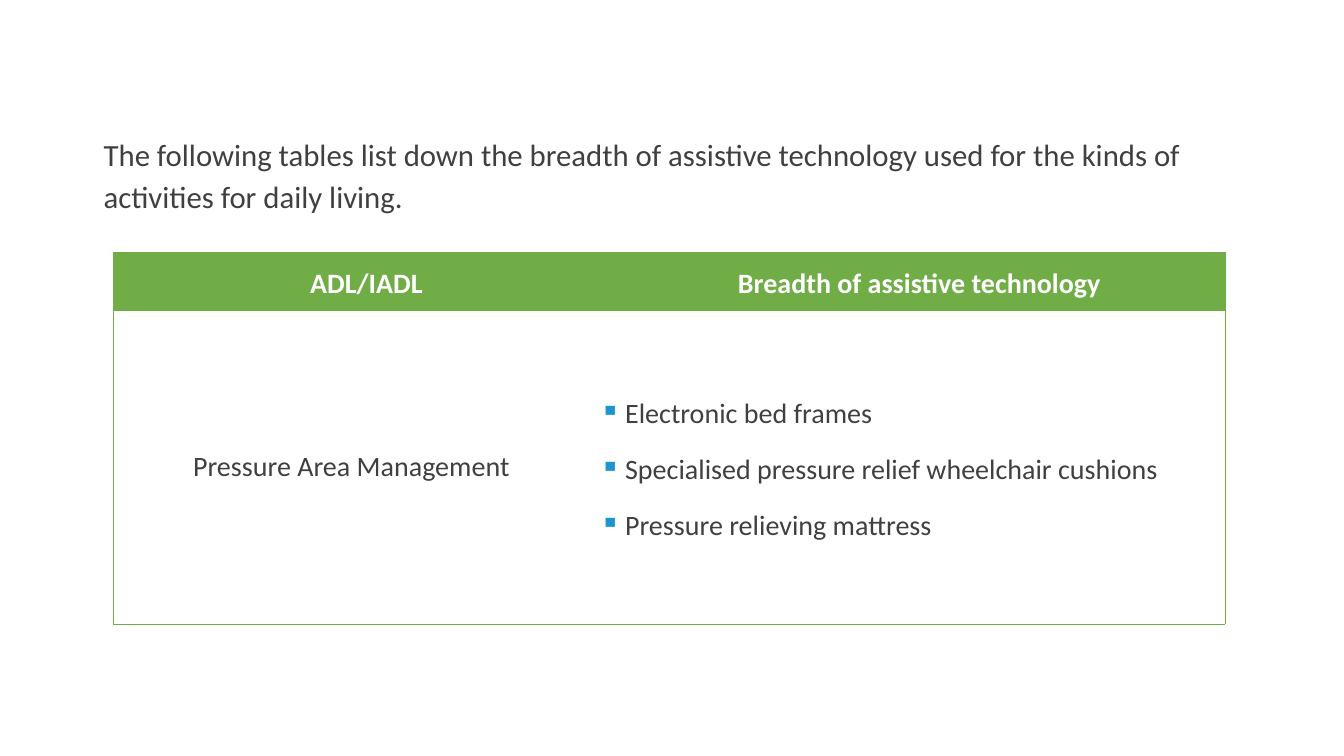
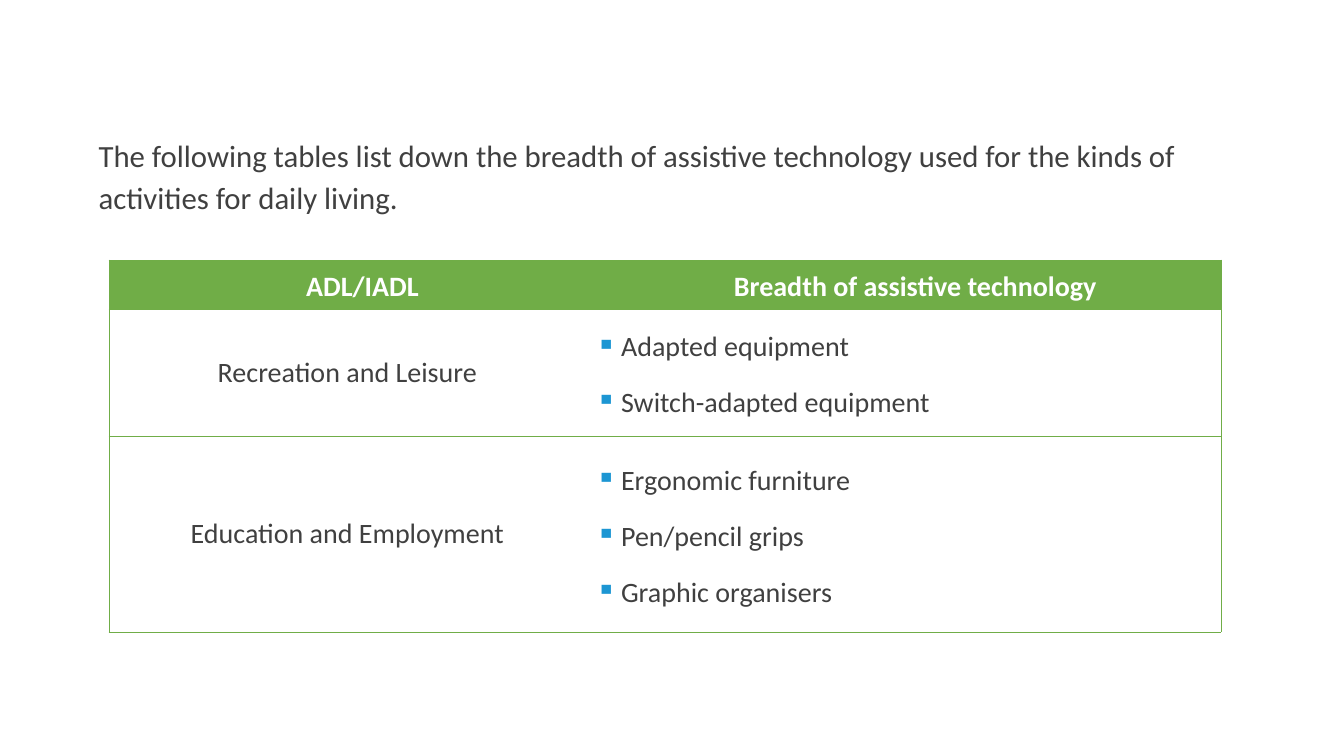
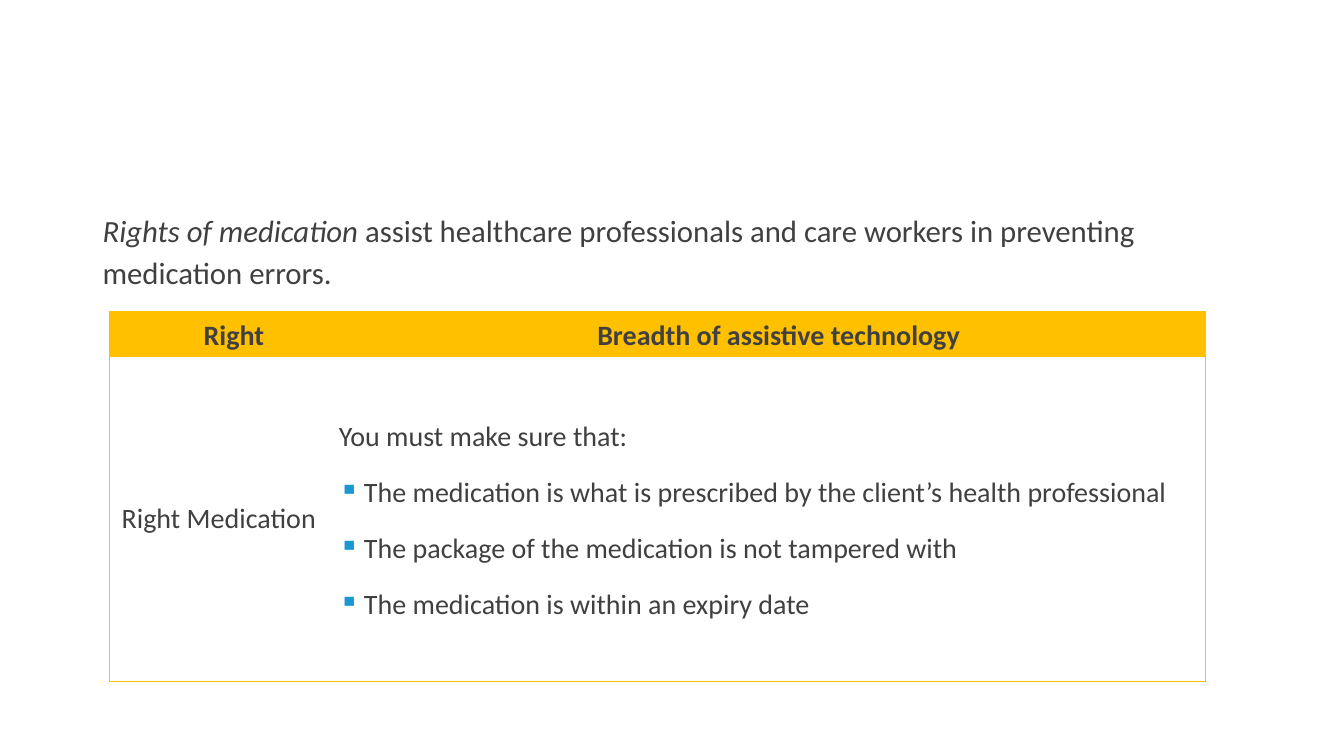
from lxml import etree
from pptx import Presentation
from pptx import util as u
from pptx.dml.color import RGBColor
from pptx.enum import text
from pptx.oxml.ns import qn

GREEN, AMBER, WHITE, DARK, BULLET_BLUE = "70AD47", "FFC000", "FFFFFF", "404040", "1C96D3"
PLAIN_TABLE = "{2D5ABB26-0587-4C30-8999-92F81FD0307C}"
BULLET = "▪ "


def rgb(value):
    return RGBColor.from_string(value)


class Deck:
    font = "Calibri"
    intro_size = u.Pt(22)
    table_size = u.Pt(20)
    line_spacing = 1.14
    gap = u.Pt(6)

    def __init__(self):
        self.presentation = Presentation()
        self.presentation.slide_width = u.Inches(13.33)
        self.presentation.slide_height = u.Inches(7.5)
        self.slide = None

    def new_slide(self):
        self.slide = self.presentation.slides.add_slide(self.presentation.slide_layouts[6])

    def space(self, paragraph, first=True):
        paragraph.line_spacing = self.line_spacing
        paragraph.space_before = 0 if first else self.gap
        paragraph.space_after = self.gap

    def style(self, paragraph, size, color=DARK, bold=False):
        for run in paragraph.runs:
            run.font.name = self.font
            run.font.size = size
            run.font.bold = bold
            run.font.color.rgb = rgb(color)

    def indent(self, paragraph, left):
        properties = paragraph._p.get_or_add_pPr()
        properties.set("marL", str(u.Inches(left)))
        properties.set("indent", str(u.Inches(-0.25)))
        return properties

    def bullet(self, paragraph):
        properties = self.indent(paragraph, 0.25)
        color = etree.SubElement(properties, qn("a:buClr"))
        etree.SubElement(color, qn("a:srgbClr"), val=BULLET_BLUE)
        etree.SubElement(properties, qn("a:buChar"), char=BULLET.strip())

    def intro(self, left, top, body, emphasis=""):
        """Opening sentence, with an optional italic lead-in."""
        shape = self.slide.shapes.add_textbox(
            u.Inches(left), u.Inches(top), u.Inches(11.03), u.Inches(4.76))
        shape.text_frame.word_wrap = True
        paragraph = shape.text_frame.paragraphs[0]
        if emphasis:
            run = paragraph.add_run()
            run.text = emphasis
            run.font.italic = True
        paragraph.add_run().text = body
        self.space(paragraph)
        self.style(paragraph, self.intro_size)

    def borders(self, cell, sides, color):
        properties = cell._tc.get_or_add_tcPr()
        for side in sides:
            line = etree.SubElement(properties, qn(f"a:ln{side}"), w=str(u.Pt(0.5)))
            fill = etree.SubElement(line, qn("a:solidFill"))
            etree.SubElement(fill, qn("a:srgbClr"), val=color)

    def header_cell(self, cell, heading, fill_color, text_color):
        cell.margin_left = cell.margin_right = u.Inches(0.07)
        cell.margin_top = cell.margin_bottom = 0
        cell.fill.solid()
        cell.fill.fore_color.rgb = rgb(fill_color)
        cell.text_frame.text = heading
        paragraph = cell.text_frame.paragraphs[0]
        self.indent(paragraph, 0.55)
        paragraph.alignment = text.PP_ALIGN.CENTER
        self.space(paragraph)
        self.style(paragraph, self.table_size, text_color, bold=True)

    def label_cell(self, cell, label):
        cell.fill.background()
        cell.text_frame.text = label
        paragraph = cell.text_frame.paragraphs[0]
        paragraph.alignment = text.PP_ALIGN.CENTER
        self.style(paragraph, self.table_size)

    def list_cell(self, cell, items):
        cell.fill.background()
        cell.text_frame.text = "\n".join(item.removeprefix(BULLET) for item in items)
        for index, (paragraph, item) in enumerate(zip(cell.text_frame.paragraphs, items)):
            if item.startswith(BULLET):
                self.bullet(paragraph)
            self.space(paragraph, first=index == 0)
            self.style(paragraph, self.table_size)

    def table(self, left, top, widths, heights, headings, rows, color, heading_color):
        """Coloured heading row, then one label and one list per row."""
        table = self.slide.shapes.add_table(
            len(heights), len(widths), u.Inches(left), u.Inches(top),
            u.Inches(sum(widths)), u.Inches(sum(heights))).table
        table._tbl.tblPr.find(qn("a:tableStyleId")).text = PLAIN_TABLE
        table.horz_banding = False
        for column, width in zip(table.columns, widths):
            column.width = u.Inches(width)
        for row, height in zip(table.rows, heights):
            row.height = u.Inches(height)
            for cell, outer_side in zip(row.cells, "LR"):
                cell.vertical_anchor = text.MSO_ANCHOR.MIDDLE
                self.borders(cell, outer_side + "TB", color)
        for column, heading in enumerate(headings):
            self.header_cell(table.cell(0, column), heading, color, heading_color)
        for index, (label, items) in enumerate(rows, start=1):
            self.label_cell(table.cell(index, 0), label)
            self.list_cell(table.cell(index, 1), items)


def main():
    deck = Deck()
    breadth = "Breadth of assistive technology "
    living_intro = ("The following tables list down the breadth of assistive technology "
                    "used for the kinds of activities for daily living.")
    living_style = dict(widths=[4.73, 6.3], headings=["ADL/IADL", breadth],
                        color=GREEN, heading_color=WHITE)

    # Pressure area management
    deck.new_slide()
    deck.intro(0.93, 1.25, living_intro)
    deck.table(1.12, 2.5, heights=[0.58, 3.11], rows=[
        ("Pressure Area Management", [
            "▪ Electronic bed frames",
            "▪ Specialised pressure relief wheelchair cushions",
            "▪ Pressure relieving mattress"]),
    ], **living_style)

    # Recreation and education
    deck.new_slide()
    deck.intro(0.88, 1.26, living_intro)
    deck.table(1.08, 2.58, heights=[0.49, 1.26, 1.94], rows=[
        ("Recreation and Leisure", [
            "▪ Adapted equipment",
            "▪ Switch-adapted equipment"]),
        ("Education and Employment", [
            "▪ Ergonomic furniture",
            "▪ Pen/pencil grips",
            "▪ Graphic organisers"]),
    ], **living_style)

    # Rights of medication
    deck.new_slide()
    deck.intro(0.92, 2, "assist healthcare professionals and care workers in preventing "
               "medication errors.", emphasis="Rights of medication ")
    deck.table(1.08, 3.09, widths=[2.18, 8.69], heights=[0.44, 3.23],
               headings=["Right", breadth], color=AMBER, heading_color=DARK, rows=[
        ("Right Medication", [
            "You must make sure that:",
            "▪ The medication is what is prescribed by the client’s health professional",
            "▪ The package of the medication is not tampered with",
            "▪ The medication is within an expiry date"]),
    ])

    deck.presentation.save("out.pptx")


if __name__ == "__main__":
    main()
